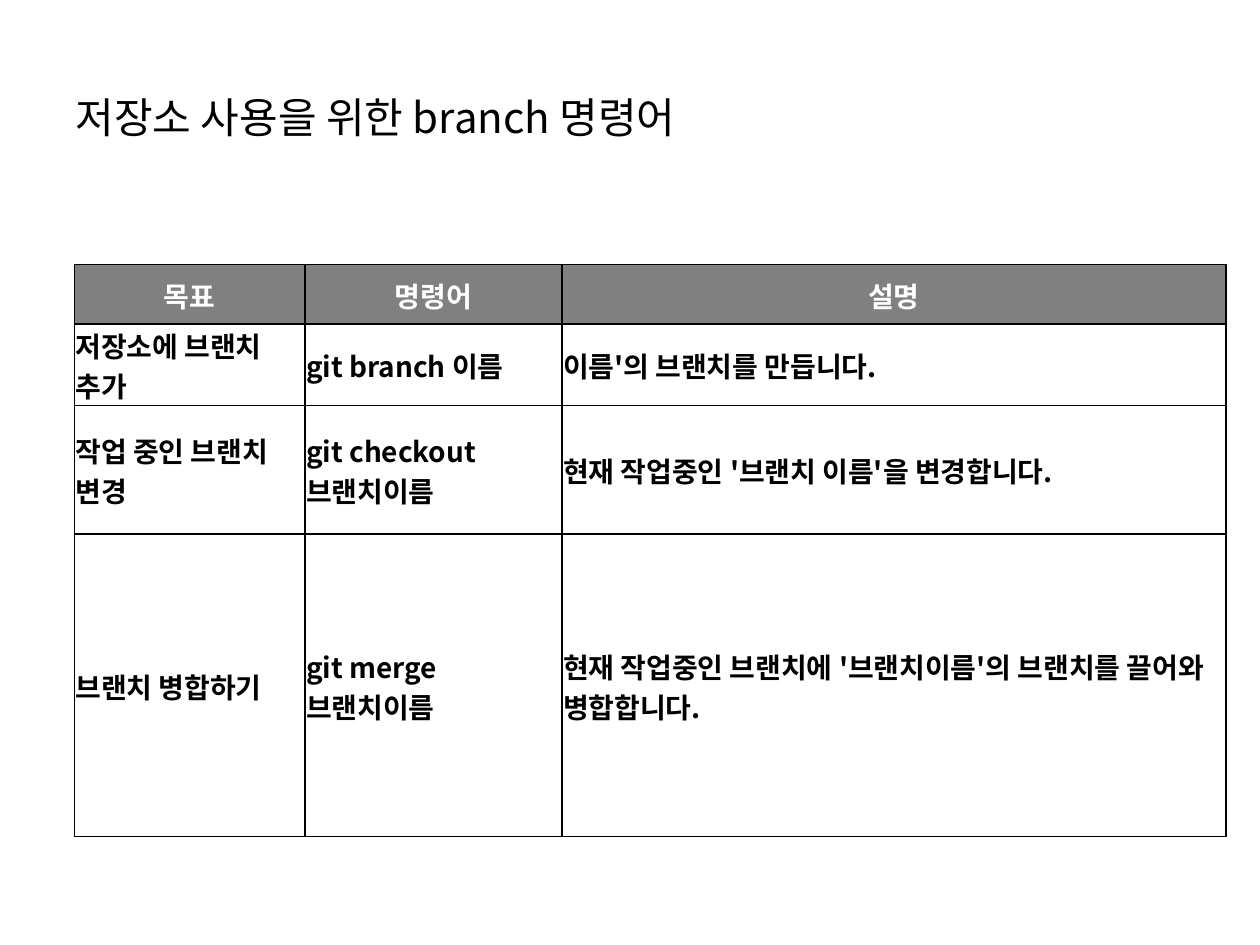
from lxml.etree import SubElement
from pptx import Presentation
from pptx.dml.color import RGBColor as RGB
from pptx.enum.text import MSO_ANCHOR as Anchor, PP_ALIGN as Align
from pptx.oxml import parse_xml
from pptx.oxml.ns import nsdecls, qn
from pptx.util import Inches, Pt

FONT = "Noto Sans CJK KR"
COLORS = {"text": "000000", "header": "808080", "header_text": "FFFFFF",
          "body": "FFFFFF", "border": "000000"}


def style_text(paragraph, size, color, bold, align):
    paragraph.alignment = align
    for run in paragraph.runs:
        for name, value in {"name": FONT, "size": Pt(size), "bold": bold}.items():
            setattr(run.font, name, value)
        run.font.color.rgb = RGB.from_string(COLORS[color])
        # Korean glyphs take the East Asian typeface
        SubElement(run.font._element, qn("a:ea")).set("typeface", FONT)


def add_borders(cell):
    properties = cell._tc.get_or_add_tcPr()
    for index, side in enumerate(("lnL", "lnR", "lnT", "lnB")):
        properties.insert(index, parse_xml(
            f'<a:{side} {nsdecls("a")} w="{Pt(1)}"><a:solidFill>'
            f'<a:srgbClr val="{COLORS["border"]}"/></a:solidFill></a:{side}>'))


deck = Presentation()
deck.slide_width, deck.slide_height = Inches(10), Inches(7.5)
slide = deck.slides.add_slide(deck.slide_layouts[5])

# Title
title = slide.shapes.title
title_box = {"left": 0.05, "top": 0.04, "width": 0.9, "height": 1 / 6}
for name, share in title_box.items():
    whole = deck.slide_width if name in ("left", "width") else deck.slide_height
    setattr(title, name, int(whole * share))
title.text_frame.text = "저장소 사용을 위한 branch 명령어"
title.text_frame.vertical_anchor = Anchor.MIDDLE
style_text(title.text_frame.paragraphs[0], 24, "text", False, Align.LEFT)

# Command table
commands = [
    ("목표", "명령어", "설명"),
    ("저장소에 브랜치 추가", "git branch 이름", "이름'의 브랜치를 만듭니다."),
    ("작업 중인 브랜치 변경", "git checkout 브랜치이름",
     "현재 작업중인 '브랜치 이름'을 변경합니다."),
    ("브랜치 병합하기", "git merge 브랜치이름",
     "현재 작업중인 브랜치에 '브랜치이름'의 브랜치를 끌어와 병합합니다."),
]
column_widths = [1.83, 2.04, 5.27]
row_heights = [0.47, 0.47, 1.02, 2.4]
table = slide.shapes.add_table(
    len(row_heights), len(column_widths), Inches(0.59), Inches(2.1),
    Inches(sum(column_widths)), Inches(sum(row_heights))).table
for column, width in zip(table.columns, column_widths):
    column.width = Inches(width)
for row, height in zip(table.rows, row_heights):
    row.height = Inches(height)

cell_format = {"vertical_anchor": Anchor.MIDDLE, "margin_left": Inches(0.01),
               "margin_right": Inches(0.01), "margin_top": Inches(0.01),
               "margin_bottom": 0}
for row_index, entries in enumerate(commands):
    if row_index == 0:
        fill, ink, align = "header", "header_text", Align.CENTER
    else:
        fill, ink, align = "body", "text", Align.LEFT
    for column_index, entry in enumerate(entries):
        cell = table.cell(row_index, column_index)
        cell.text = entry
        for name, value in cell_format.items():
            setattr(cell, name, value)
        cell.fill.solid()
        cell.fill.fore_color.rgb = RGB.from_string(COLORS[fill])
        add_borders(cell)
        style_text(cell.text_frame.paragraphs[0], 16, ink, True, align)

deck.save("out.pptx")
